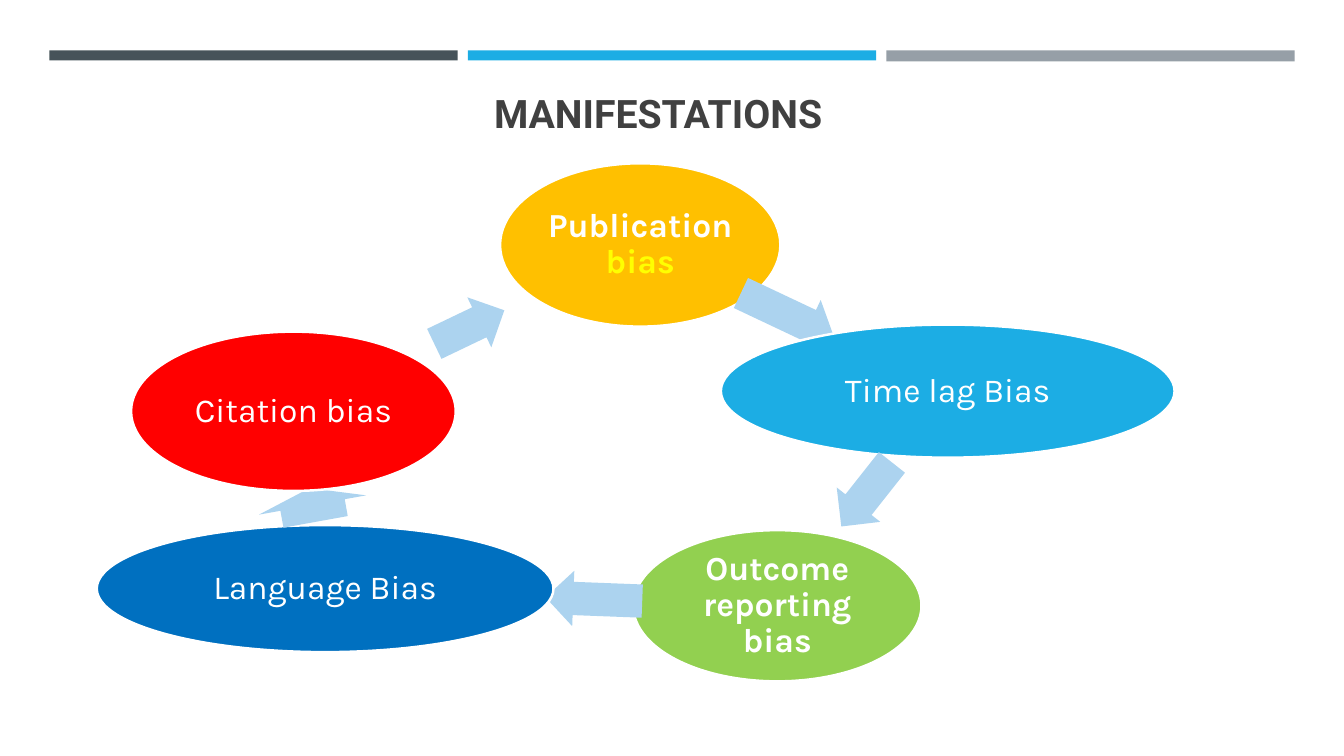
from pptx import Presentation
from pptx.dml.color import RGBColor
from pptx.enum.shapes import MSO_SHAPE
from pptx.enum.text import MSO_ANCHOR, MSO_AUTO_SIZE, PP_ALIGN
from pptx.util import Pt

RECT, OVAL, ARROW = MSO_SHAPE.RECTANGLE, MSO_SHAPE.OVAL, MSO_SHAPE.RIGHT_ARROW
MIDDLE, BOTTOM = MSO_ANCHOR.MIDDLE, MSO_ANCHOR.BOTTOM
LEFT, CENTER = PP_ALIGN.LEFT, PP_ALIGN.CENTER
NO_FIT = MSO_AUTO_SIZE.NONE
EMU_PER_PX = 9144
TITLE_ONLY = 5

BARS = [(49, 10, "465359"), (464, 10, "1CADE4"), (879, 11, "969FA7")]
STAGES = [
    ((496, 162, 278, 162), "FFC000", True, [("Publication ", "FFFFFF"), ("bias", "FFFF00")],
     (730, 285, 102, 55), 25.3),
    ((715, 322, 450, 132), "1CADE4", False, [("Time lag Bias", "FFFFFF")],
     (819, 463, 81, 55), 128.3),
    ((628, 526, 286, 150), "92D050", True, [("Outcome reporting bias", "FFFFFF")],
     (541, 567, 96, 55), 182.2),
    ((96, 521, 453, 126), "0070C0", False, [("Language Bias", "FFFFFF")],
     (293, 447, 34, 108), 259.8),
    ((130, 329, 322, 158), "FF0000", False, [("Citation bias", "FFFFFF")],
     (427, 297, 77, 55), 334.4),
]


def px(n):
    return n * EMU_PER_PX


def rgb(color):
    return RGBColor.from_string(color)


class Deck:
    title_font, body_font = "Roboto", "Karla"
    title_color, arrow_color, outline = "404040", "ACD3EF", "FFFFFF"

    def __init__(self, width, height):
        self.prs = Presentation()
        self.prs.slide_width, self.prs.slide_height = px(width), px(height)

    def add_slide(self):
        self.s = self.prs.slides.add_slide(self.prs.slide_layouts[TITLE_ONLY])

    def title(self, text, box, indent):
        sp = self.s.shapes.title
        sp.left, sp.top, sp.width, sp.height = map(px, box)
        tf = sp.text_frame
        tf.text = text
        tf.auto_size, tf.vertical_anchor = NO_FIT, BOTTOM
        tf.margin_left = px(indent)
        p = tf.paragraphs[0]
        p.alignment = LEFT
        p.font.name, p.font.size, p.font.bold = self.title_font, Pt(28), True
        p.font.color.rgb = rgb(self.title_color)

    def shape(self, kind, box, fill):
        sp = self.s.shapes.add_shape(kind, *map(px, box))
        sp.shadow.inherit = False
        sp.fill.solid()
        sp.fill.fore_color.rgb = rgb(fill)
        sp.line.fill.background()
        return sp

    def oval(self, box, fill, bold, runs):
        sp = self.shape(OVAL, box, fill)
        sp.line.color.rgb = rgb(self.outline)
        sp.line.width = Pt(1.75)
        tf = sp.text_frame
        tf.word_wrap, tf.vertical_anchor = True, MIDDLE
        tf.margin_left = tf.margin_right = tf.margin_top = tf.margin_bottom = px(3)
        p = tf.paragraphs[0]
        p.alignment, p.line_spacing = CENTER, 0.9
        p.font.name, p.font.size, p.font.bold = self.body_font, Pt(24), bold
        for text, color in runs:
            r = p.add_run()
            r.text = text
            r.font.color.rgb = rgb(color)

    def arrow(self, box, angle):
        sp = self.shape(ARROW, box, self.arrow_color)
        sp.adjustments[0], sp.adjustments[1] = 0.6, 0.5
        sp.rotation = angle


def main():
    deck = Deck(1333, 750)
    deck.add_slide()
    for left, height, color in BARS:
        deck.shape(RECT, (left, 50, 405, height), color)
    deck.title("MANIFESTATIONS", (64, 77, 1206, 63), 426)
    for oval_box, fill, bold, runs, arrow_box, angle in STAGES:
        deck.oval(oval_box, fill, bold, runs)
        deck.arrow(arrow_box, angle)
    deck.prs.save("out.pptx")


if __name__ == "__main__":
    main()
